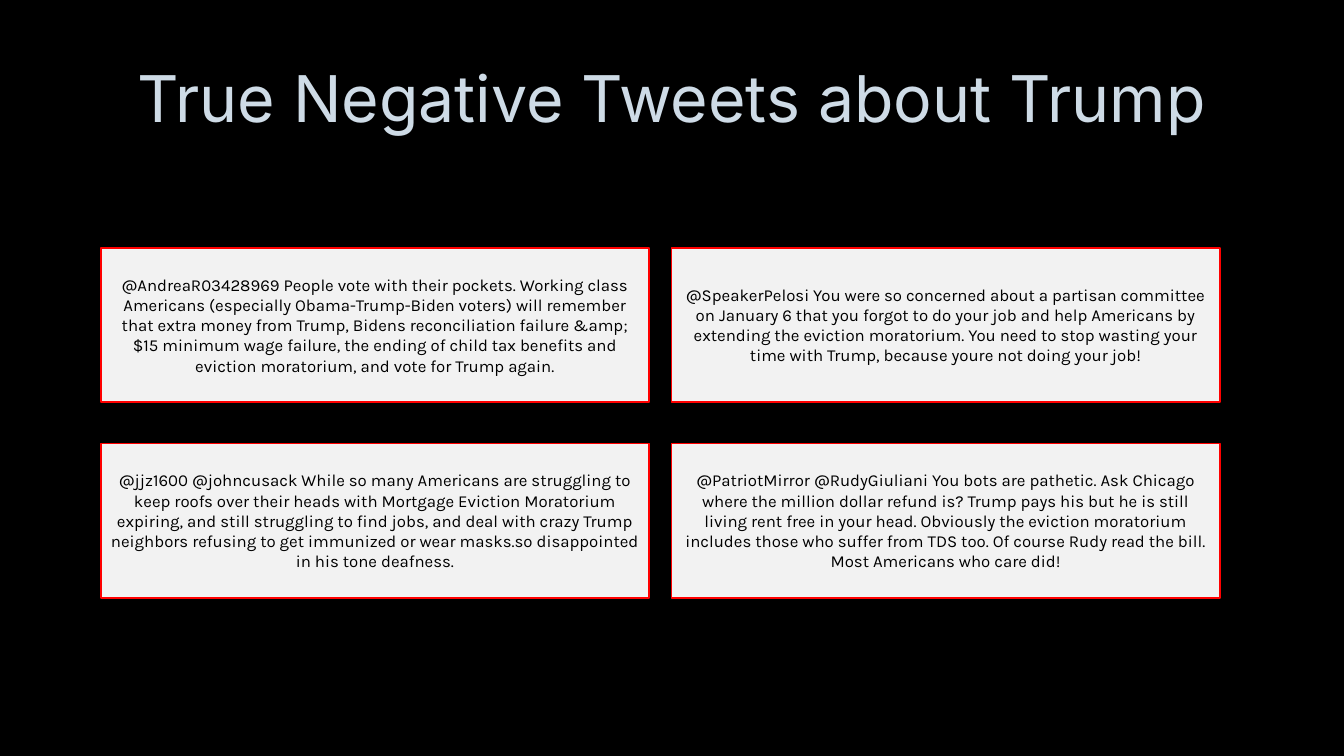
from dataclasses import dataclass

from pptx import Presentation
from pptx import util as u
from pptx.dml.color import RGBColor
from pptx.enum import shapes, text


@dataclass(frozen=True)
class Theme:
    background: str = "000000"
    title_color: str = "CEDBE6"
    card_fill: str = "F2F2F2"
    card_line: str = "FF0000"
    card_text: str = "000000"
    title_font: str = "Inter"
    card_font: str = "Karla"
    title_size: int = 46
    card_size: int = 12
    line_width: float = 1.25


THEME = Theme()
TITLE = "True Negative Tweets about Trump"
TWEETS = [
    "@AndreaR03428969 People vote with their pockets. Working class Americans "
    "(especially Obama-Trump-Biden voters) will remember that extra money from "
    "Trump, Bidens reconciliation failure &amp; $15 minimum wage failure, the "
    "ending of child tax benefits and eviction moratorium, and vote for Trump again.",
    "@SpeakerPelosi You were so concerned about a partisan committee on January 6 "
    "that you forgot to do your job and help Americans by extending the eviction "
    "moratorium. You need to stop wasting your time with Trump, because youre not "
    "doing your job!",
    "@jjz1600 @johncusack While so many Americans are struggling to keep roofs over "
    "their heads with Mortgage Eviction Moratorium expiring, and still struggling to "
    "find jobs, and deal with crazy Trump neighbors refusing to get immunized or wear "
    "masks.so disappointed in his tone deafness.",
    "@PatriotMirror @RudyGiuliani You bots are pathetic. Ask Chicago where the million "
    "dollar refund is? Trump pays his but he is still living rent free in your head. "
    "Obviously the eviction moratorium includes those who suffer from TDS too. Of "
    "course Rudy read the bill. Most Americans who care did!",
]
COLUMNS = 2
LEFT, TOP = 1, 2.46
CARD_WIDTH, CARD_HEIGHT = 5.44, 1.53
COLUMN_STEP, ROW_STEP = 5.66, 1.94


def apply(target, values):
    for name, value in values.items():
        setattr(target, name, value)


def paint(fill, color):
    fill.solid()
    fill.fore_color.rgb = RGBColor.from_string(color)


def write(box, wording, font, size, color, spacing=1.0):
    apply(box.text_frame, {
        "word_wrap": True,
        "auto_size": text.MSO_AUTO_SIZE.NONE,
        "vertical_anchor": text.MSO_ANCHOR.MIDDLE,
    })
    para = box.text_frame.paragraphs[0]
    apply(para, {"alignment": text.PP_ALIGN.CENTER, "line_spacing": spacing})
    span = para.add_run()
    span.text = wording
    apply(span.font, {"name": font, "size": u.Pt(size)})
    span.font.color.rgb = RGBColor.from_string(color)


def add_title(page):
    box = page.shapes.title
    apply(box, {
        "left": u.Inches(1),
        "top": u.Inches(0.32),
        "width": u.Inches(11.32),
        "height": u.Inches(1.38),
    })
    write(box, TITLE, THEME.title_font, THEME.title_size, THEME.title_color, 0.9)


def add_tweet(page, index, wording):
    row, column = divmod(index, COLUMNS)
    box = page.shapes.add_shape(
        shapes.MSO_SHAPE.RECTANGLE,
        u.Inches(LEFT + column * COLUMN_STEP),
        u.Inches(TOP + row * ROW_STEP),
        u.Inches(CARD_WIDTH),
        u.Inches(CARD_HEIGHT),
    )
    box.shadow.inherit = False
    paint(box.fill, THEME.card_fill)
    paint(box.line.fill, THEME.card_line)
    box.line.width = u.Pt(THEME.line_width)
    write(box, wording, THEME.card_font, THEME.card_size, THEME.card_text)


def main():
    deck = Presentation()
    apply(deck, {"slide_width": u.Inches(13.33), "slide_height": u.Inches(7.5)})
    page = deck.slides.add_slide(deck.slide_layouts.get_by_name("Title Only"))
    paint(page.background.fill, THEME.background)
    add_title(page)
    for index, wording in enumerate(TWEETS):
        add_tweet(page, index, wording)
    deck.save("out.pptx")


main()
